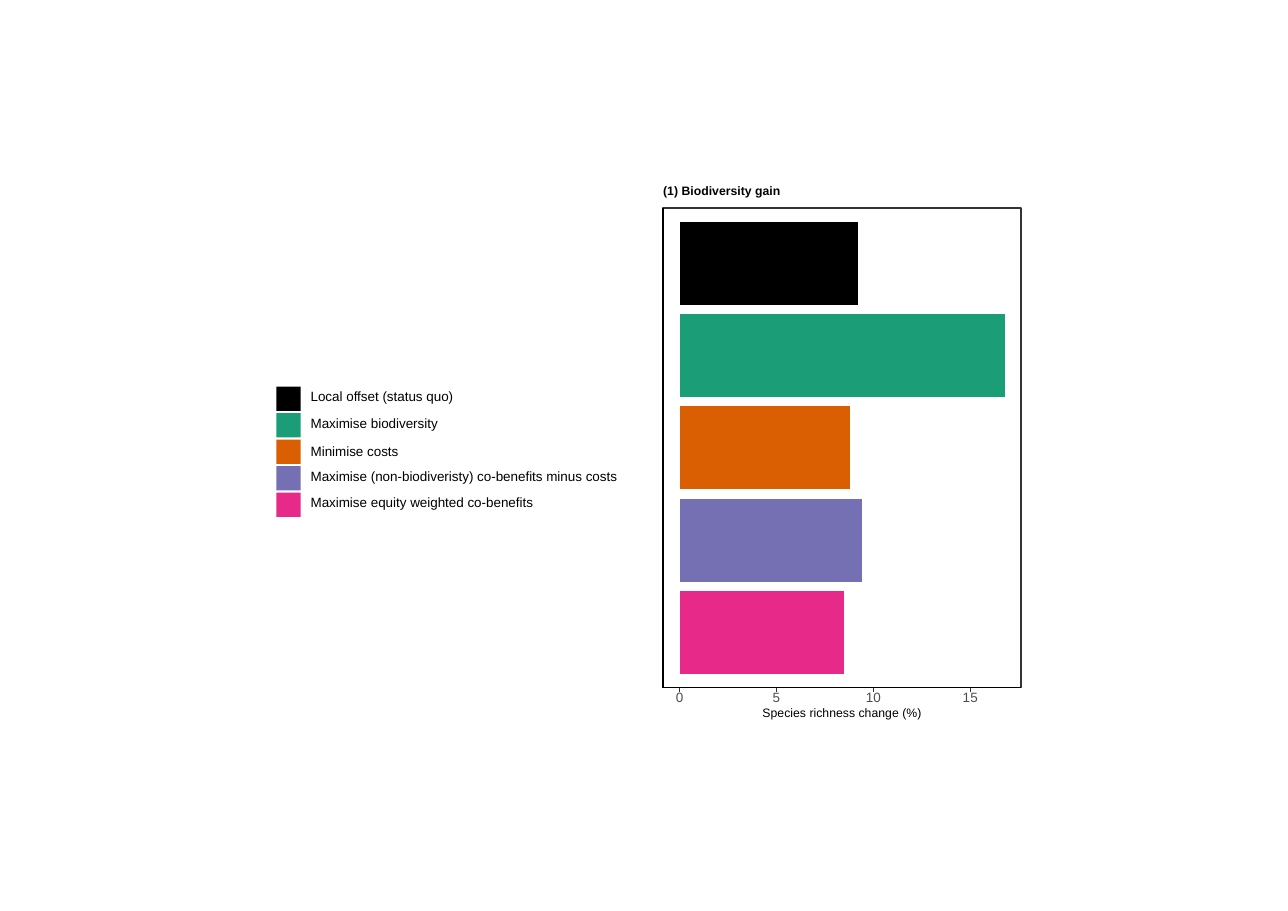
from lxml import etree
from pptx import Presentation
from pptx.chart.data import CategoryChartData
from pptx.dml.color import RGBColor
from pptx.enum.chart import XL_CHART_TYPE, XL_TICK_MARK
from pptx.enum.shapes import MSO_CONNECTOR, MSO_SHAPE
from pptx.enum.text import MSO_ANCHOR, MSO_AUTO_SIZE, PP_ALIGN
from pptx.oxml import parse_xml
from pptx.oxml.ns import nsdecls, qn
from pptx.util import Inches, Mm, Pt

BAR_CLUSTERED = XL_CHART_TYPE.BAR_CLUSTERED
TICK_OUTSIDE = XL_TICK_MARK.OUTSIDE
STRAIGHT = MSO_CONNECTOR.STRAIGHT
RECTANGLE = MSO_SHAPE.RECTANGLE
MIDDLE = MSO_ANCHOR.MIDDLE
NO_AUTOFIT = MSO_AUTO_SIZE.NONE
LEFT, CENTER = PP_ALIGN.LEFT, PP_ALIGN.CENTER

A4_WIDTH, A4_HEIGHT = Mm(297), Mm(210)
FONT = "Arial"
LINE_WIDTH = 1.07
AXIS_MAXIMUM = 17.6
AXIS_STEP = 5
INCHES_PER_UNIT = 0.176
LABEL_RISE = 0.01

# Strategy, species richness change (%), colour, downward shift of its label
STRATEGIES = [
    ("Local offset (status quo)", 9.2, "000000", 0),
    ("Maximise biodiversity", 16.8, "1B9E77", 0),
    ("Minimise costs", 8.8, "D95F02", 0.02),
    ("Maximise (non-biodiveristy) co-benefits minus costs", 9.4, "7570B3", 0),
    ("Maximise equity weighted co-benefits", 8.5, "E7298A", 0),
]


def colour(hex_string):
    return RGBColor.from_string(hex_string)


def write_text(shape, text, size, bold=False, alignment=LEFT):
    """Put one unwrapped line, without margins, into a text shape."""
    frame = shape.text_frame
    frame.word_wrap = False
    frame.auto_size = NO_AUTOFIT
    frame.vertical_anchor = MIDDLE
    frame.margin_left = frame.margin_right = 0
    frame.margin_top = frame.margin_bottom = 0
    paragraph = frame.paragraphs[0]
    paragraph.alignment = alignment
    paragraph.line_spacing = Pt(size)
    run = paragraph.add_run()
    run.text = text
    run.font.name = FONT
    run.font.size = Pt(size)
    run.font.bold = bold
    run.font.color.rgb = colour("000000")


def add_label(slide, left, top, width, height, text, size, alignment=LEFT):
    box = slide.shapes.add_textbox(
        Inches(left), Inches(top), Inches(width), Inches(height))
    write_text(box, text, size, alignment=alignment)


def add_rectangle(slide, left, top, width, height, fill=None, line=None):
    shape = slide.shapes.add_shape(
        RECTANGLE, Inches(left), Inches(top), Inches(width), Inches(height))
    shape.shadow.inherit = False
    if fill:
        shape.fill.solid()
        shape.fill.fore_color.rgb = colour(fill)
    else:
        shape.fill.background()
    if line:
        shape.line.color.rgb = colour(line)
        shape.line.width = Pt(LINE_WIDTH)
    else:
        shape.line.fill.background()


def add_line(slide, x1, y1, x2, y2, line):
    connector = slide.shapes.add_connector(
        STRAIGHT, Inches(x1), Inches(y1), Inches(x2), Inches(y2))
    connector.line.color.rgb = colour(line)
    connector.line.width = Pt(LINE_WIDTH)
    etree.SubElement(connector._element.spPr, qn("a:effectLst"))


def set_plot_layout(chart, x, y, width, height):
    """Fix the inner plot area, in fractions of the chart frame."""
    plot_area = chart._chartSpace.chart.plotArea
    for layout in plot_area.findall(qn("c:layout")):
        plot_area.remove(layout)
    plot_area.insert(0, parse_xml(
        f'<c:layout {nsdecls("c")}><c:manualLayout>'
        '<c:layoutTarget val="inner"/>'
        '<c:xMode val="edge"/><c:yMode val="edge"/>'
        f'<c:x val="{x:.4f}"/><c:y val="{y:.4f}"/>'
        f'<c:w val="{width:.4f}"/><c:h val="{height:.4f}"/>'
        '</c:manualLayout></c:layout>'))


def add_bars(slide, left, top, width, height, zero, margin, label_room):
    """Bar chart whose bars start at zero and keep a margin above and below."""
    data = CategoryChartData()
    bottom_up = STRATEGIES[::-1]
    data.categories = [name for name, *_ in bottom_up]
    data.add_series("Species richness change (%)",
                    [value for _, value, *_ in bottom_up])
    frame_height = height + label_room
    chart = slide.shapes.add_chart(
        BAR_CLUSTERED, Inches(left), Inches(top), Inches(width),
        Inches(frame_height), data).chart
    chart.has_title = False
    chart.has_legend = False
    chart.font.name = FONT
    chart.font.size = Pt(8.8)
    chart.font.color.rgb = colour("4D4D4D")

    plot = chart.plots[0]
    plot.gap_width = 11
    plot.vary_by_categories = False
    series = plot.series[0]
    series.invert_if_negative = False
    for index, (_, _, fill, _) in enumerate(bottom_up):
        point_fill = series.points[index].format.fill
        point_fill.solid()
        point_fill.fore_color.rgb = colour(fill)

    chart.category_axis.visible = False
    axis = chart.value_axis
    axis.minimum_scale = 0
    axis.maximum_scale = AXIS_MAXIMUM
    axis.major_unit = AXIS_STEP
    axis.has_major_gridlines = False
    axis.major_tick_mark = TICK_OUTSIDE
    axis.format.line.fill.background()
    axis.tick_labels.number_format = "0"
    axis.tick_labels.number_format_is_linked = False
    set_plot_layout(chart, zero / width, margin / frame_height,
                    AXIS_MAXIMUM * INCHES_PER_UNIT / width,
                    (height - 2 * margin) / frame_height)


def add_biodiversity_panel(slide, left, top, width, height):
    title = slide.shapes.title
    title.left, title.top = Inches(left), Inches(top - 0.2)
    title.width, title.height = Inches(width), Inches(0.1)
    write_text(title, "(1) Biodiversity gain", 8, bold=True)

    zero = 0.15
    bottom = top + height
    add_bars(slide, left, top, width, height, zero, margin=0.08, label_room=0.25)
    add_rectangle(slide, left, top, width, height, line="333333")
    add_line(slide, left, bottom, left, top, "000000")
    add_line(slide, left, bottom, left + width, bottom, "000000")
    for value in range(0, int(AXIS_MAXIMUM) + 1, AXIS_STEP):
        x = left + zero + value * INCHES_PER_UNIT
        add_line(slide, x, bottom, x, bottom + 0.04, "333333")
    add_label(slide, left, bottom + 0.19, width, 0.1,
              "Species richness change (%)", 8, CENTER)


def add_legend(slide, left, top, width, row_height):
    key_size = 0.22
    inset = (row_height - key_size) / 2
    for index, (name, _, fill, shift) in enumerate(STRATEGIES):
        row_top = top + index * row_height
        add_rectangle(slide, left + inset, row_top + inset,
                      key_size, key_size, fill=fill)
        add_label(slide, left + 0.32, row_top - LABEL_RISE + shift,
                  width - 0.32, row_height, name, 8.8)


def main():
    presentation = Presentation()
    presentation.slide_width = A4_WIDTH
    presentation.slide_height = A4_HEIGHT
    slide = presentation.slides.add_slide(presentation.slide_layouts[5])
    add_biodiversity_panel(slide, 6.02, 1.89, 3.25, 4.35)
    add_legend(slide, 2.5, 3.5, 3.2, 0.24)
    presentation.save("out.pptx")


if __name__ == "__main__":
    main()
